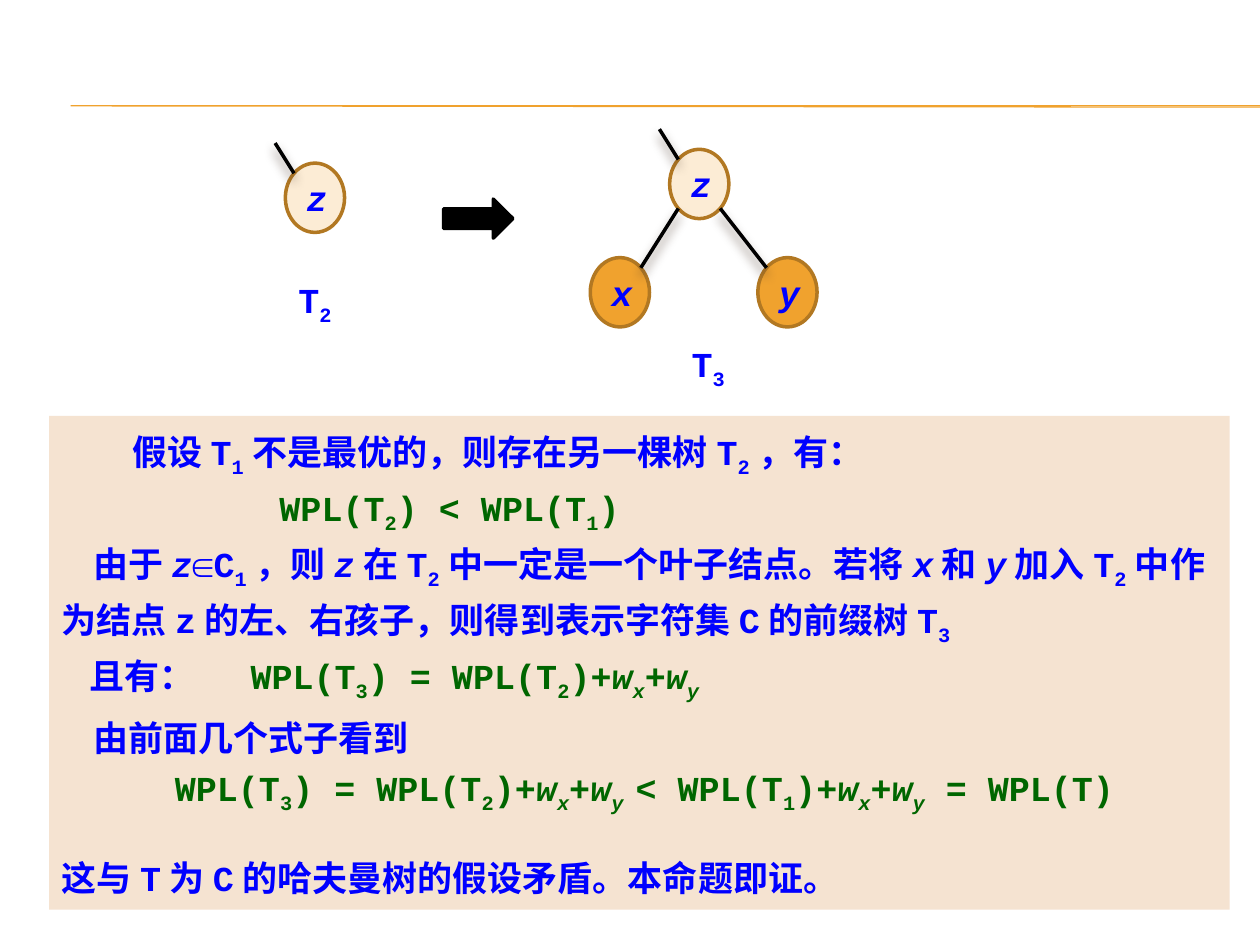
"""Build the slide on the optimality proof of the Huffman tree."""
import itertools
import math

import lxml.etree
import pptx
import pptx.dml.color
import pptx.enum.shapes
import pptx.enum.text
import pptx.oxml.ns
import pptx.util

RGBColor = pptx.dml.color.RGBColor
Shape = pptx.enum.shapes.MSO_SHAPE
BLUE = RGBColor(0x00, 0x00, 0xFF)
GREEN = RGBColor(0x00, 0x66, 0x00)
BLACK = RGBColor(0x00, 0x00, 0x00)
ORANGE = RGBColor(0xF0, 0xA2, 0x2E)
BROWN = RGBColor(0xB2, 0x78, 0x22)
CREAM = RGBColor(0xFC, 0xEC, 0xD5)
SAND = RGBColor(0xF5, 0xE3, 0xD1)
SHADOW = RGBColor(0x4E, 0x3B, 0x30)

COLUMNS, ROWS = 100, 75
NODE_WIDTH, NODE_HEIGHT = 4.7, 5.5

PROOF = [
    (5.6, BLUE, "假设T_1不是最优的，则存在另一棵树T_2，有："),
    (17.3, GREEN, "WPL(T_2) < WPL(T_1)"),
    (2.5, BLUE, "由于~z∈C_1，则~z在T_2中一定是一个叶子结点。若将~x和~y加入T_2"
                "中作为结点z的左、右孩子，则得到表示字符集C的前缀树T_3"),
    (2.2, BLUE, "且有：\tWPL(T_3) = WPL(T_2)+~w_~x+~w_~y"),
    (2.5, BLUE, "由前面几个式子看到"),
    (9, GREEN, "WPL(T_3) = WPL(T_2)+~w_~x+~w_~y_ < WPL(T_1)+~w_~x+~w_~y = WPL(T)"),
    (0, BLUE, "这与T为C的哈夫曼树的假设矛盾。本命题即证。"),
]


def styled_pieces(markup):
    """Yield text, subscript and italic; _ and ~ mark the next character."""
    characters, subscript, italic = [], False, False
    for character in markup:
        if character == "_":
            subscript = True
        elif character == "~":
            italic = True
        else:
            characters.append((character, subscript, italic))
            subscript = italic = False
    for style, group in itertools.groupby(characters, lambda item: item[1:]):
        yield "".join(item[0] for item in group), *style


class TreeSlide:
    """Hold the style and the current slide, measured in grid cells."""

    font_name = "Courier New"
    font_size = pptx.util.Pt(20)

    def __init__(self, presentation):
        self.column = presentation.slide_width / COLUMNS
        self.row = presentation.slide_height / ROWS
        self.slide = presentation.slides.add_slide(presentation.slide_layouts[6])

    def place(self, *lengths):
        return [round(length * unit) for length, unit
                in zip(lengths, itertools.cycle((self.column, self.row)))]

    def add_text(self, paragraph, markup, color):
        for text, subscript, italic in styled_pieces(markup):
            run = paragraph.add_run()
            run.text = text
            run.font.name = self.font_name
            run.font.size = self.font_size
            run.font.bold = True
            run.font.italic = italic
            run.font.color.rgb = color
            if subscript:
                run.font._element.set("baseline", "-25000")

    def shape(self, kind, box, fill, outline=None):
        shape = self.slide.shapes.add_shape(kind, *self.place(*box))
        shape.shadow.inherit = False
        shape.fill.solid()
        shape.fill.fore_color.rgb = fill
        if outline is None:
            shape.line.fill.background()
        else:
            shape.line.color.rgb = outline
            shape.line.width = pptx.util.Pt(2)
        return shape

    def line(self, start, end, color, width, shadow=False):
        connector = self.slide.shapes.add_connector(
            pptx.enum.shapes.MSO_CONNECTOR.STRAIGHT, *self.place(*start, *end))
        connector.line.color.rgb = color
        connector.line.width = pptx.util.Pt(width)
        qualified = pptx.oxml.ns.qn
        effects = lxml.etree.SubElement(connector._element.spPr, qualified("a:effectLst"))
        if shadow:
            outer = lxml.etree.SubElement(
                effects, qualified("a:outerShdw"), blurRad=str(pptx.util.Pt(6)),
                dist=str(pptx.util.Pt(4)), dir="5400000", rotWithShape="0")
            tint = lxml.etree.SubElement(outer, qualified("a:srgbClr"), val=str(SHADOW))
            lxml.etree.SubElement(tint, qualified("a:alpha"), val="60000")

    def node(self, name, center, fill):
        x, y = center
        box = (x - NODE_WIDTH / 2, y - NODE_HEIGHT / 2, NODE_WIDTH, NODE_HEIGHT)
        shape = self.shape(Shape.OVAL, box, fill, BROWN)
        shape.text_frame.vertical_anchor = pptx.enum.text.MSO_ANCHOR.MIDDLE
        paragraph = shape.text_frame.paragraphs[0]
        paragraph.alignment = pptx.enum.text.PP_ALIGN.CENTER
        self.add_text(paragraph, "~" + name, BLUE)

    def rim(self, center, side, level):
        """Return the diagonal point of a node; side and level are -1 or 1."""
        share = math.sqrt(0.5) / 2
        return center[0] + side * share * NODE_WIDTH, center[1] + level * share * NODE_HEIGHT

    def root(self, center):
        self.node("z", center, CREAM)
        end = self.rim(center, -1, -1)
        self.line((end[0] - 1.5, end[1] - 2.4), end, BLACK, 2, shadow=True)

    def child(self, name, root, center):
        side = 1 if center[0] > root[0] else -1
        self.node(name, center, ORANGE)
        self.line(self.rim(root, side, 1), self.rim(center, -side, -1), BLACK, 2, shadow=True)

    def label(self, markup, left, top):
        box = self.slide.shapes.add_textbox(*self.place(left, top, 5.5, 4.4))
        box.text_frame.word_wrap = True
        self.add_text(box.text_frame.paragraphs[0], markup, BLUE)

    def proof(self, box, lines):
        frame = self.shape(Shape.RECTANGLE, box, SAND).text_frame
        frame.word_wrap = True
        frame.vertical_anchor = pptx.enum.text.MSO_ANCHOR.TOP
        for index, (indent, color, markup) in enumerate(lines):
            paragraph = frame.add_paragraph() if index else frame.paragraphs[0]
            paragraph.alignment = pptx.enum.text.PP_ALIGN.LEFT
            last = index == len(lines) - 1
            paragraph.line_spacing = 2.0 if last else pptx.util.Pt(32)
            properties = paragraph._element.get_or_add_pPr()
            properties.set("indent", str(round(indent * self.column)))
            lead, tab, formula = markup.partition("\t")
            if tab:
                qualified = pptx.oxml.ns.qn
                stops = lxml.etree.SubElement(properties, qualified("a:tabLst"))
                lxml.etree.SubElement(stops, qualified("a:tab"),
                                      pos=str(round(14 * self.column)), algn="l")
            self.add_text(paragraph, lead + tab, color)
            self.add_text(paragraph, formula, GREEN)


def main():
    presentation = pptx.Presentation()
    presentation.slide_width = pptx.util.Inches(10)
    presentation.slide_height = pptx.util.Inches(7.5)
    page = TreeSlide(presentation)
    for end_row in (8.4, 8.5):
        page.line((5.6, 8.4), (COLUMNS, end_row), ORANGE, 0.75)
    page.proof((3.9, 33, 93.7, 39.2), PROOF)

    page.root((25, 15.7))
    page.label("T_2", 22.7, 21.6)
    page.shape(Shape.RIGHT_ARROW, (35.2, 15.8, 5.5, 3.1), BLACK, BLACK)

    root = (55.5, 14.6)
    page.root(root)
    for name, x in (("x", 49.2), ("y", 62.5)):
        page.child(name, root, (x, 23.2))
    page.label("T_3", 53.9, 26.7)
    presentation.save("out.pptx")


if __name__ == "__main__":
    main()
